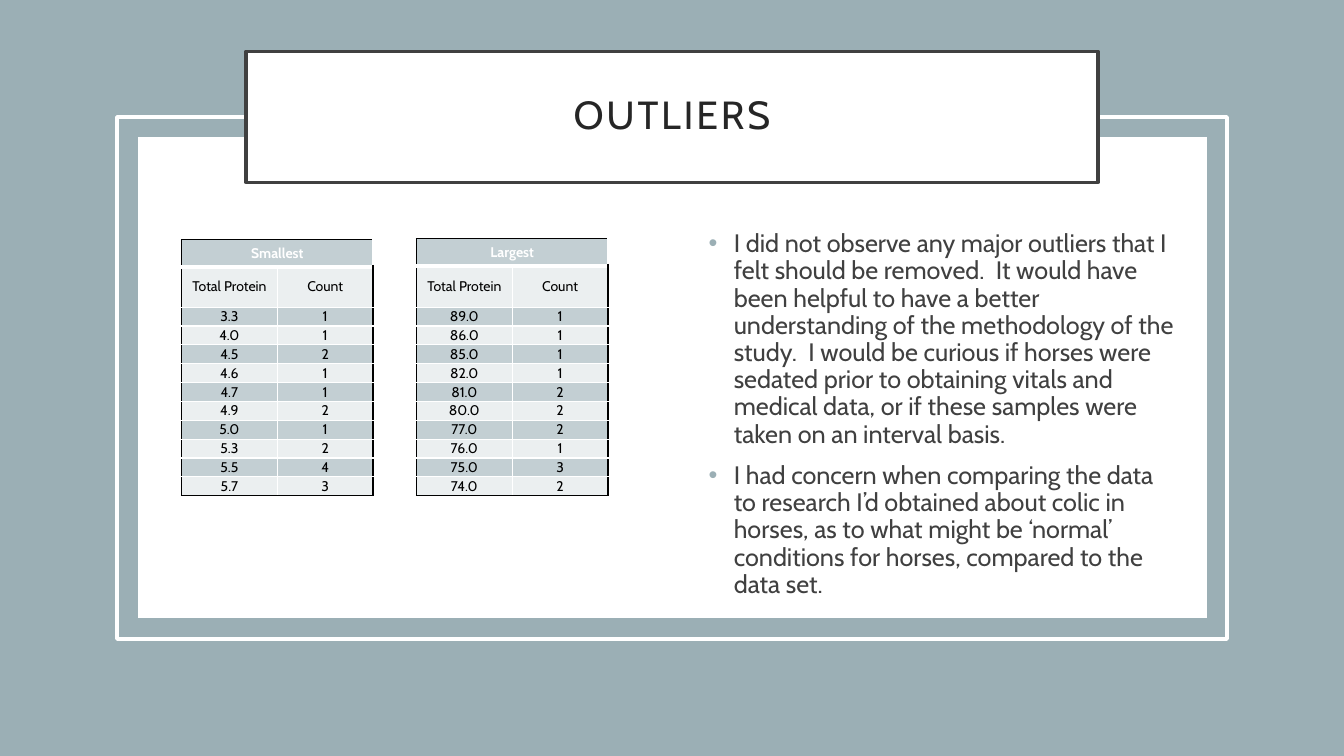
from dataclasses import dataclass

from lxml import etree
from pptx import Presentation
from pptx.dml.color import RGBColor
from pptx.enum.shapes import MSO_SHAPE
from pptx.enum.text import MSO_ANCHOR, PP_ALIGN
from pptx.oxml.ns import qn
from pptx.util import Inches, Pt

RECT = MSO_SHAPE.RECTANGLE
MIDDLE = MSO_ANCHOR.MIDDLE
CENTER = PP_ALIGN.CENTER
FONT = "Cabin"
COLORS = {
    "back": "9BAFB5", "white": "FFFFFF", "black": "000000", "edge": "404040",
    "title": "262626", "dark": "C3CFD3", "light": "EBEFF0",
}


@dataclass
class Panel:
    """A plain rectangle of the frame."""
    box: tuple[float, float, float, float]
    fill: str | None = None
    line: str | None = None


@dataclass
class Counts:
    """A table of protein values and how often each occurs."""
    name: str
    left: float
    top: float
    head: float
    data: list[tuple[str, str]]


WIDTH, HEIGHT = 13.33, 7.5
PANELS = [
    Panel((0, 0, WIDTH, HEIGHT), "back"),
    Panel((1.37, 1.36, 10.6, 4.77), "white"),
    Panel((1.16, 1.16, 11.01, 5.18), line="white"),
]
TITLE = Panel((2.44, 0.51, 8.45, 1.3), "white", "edge")
TABLES = [
    Counts("Smallest", 1.8, 2.38, 0.26, [
        ("3.3", "1"), ("4.0", "1"), ("4.5", "2"), ("4.6", "1"), ("4.7", "1"),
        ("4.9", "2"), ("5.0", "1"), ("5.3", "2"), ("5.5", "4"), ("5.7", "3")]),
    Counts("Largest", 4.13, 2.37, 0.25, [
        ("89.0", "1"), ("86.0", "1"), ("85.0", "1"), ("82.0", "1"), ("81.0", "2"),
        ("80.0", "2"), ("77.0", "2"), ("76.0", "1"), ("75.0", "3"), ("74.0", "2")]),
]
TABLE_W, TABLE_H, LABEL_END = 1.9, 2.5, 0.66
NOTES = [
    "I did not observe any major outliers that I felt should be removed.  It would "
    "have been helpful to have a better understanding of the methodology of the "
    "study.  I would be curious if horses were sedated prior to obtaining vitals and "
    "medical data, or if these samples were taken on an interval basis.",
    "I had concern when comparing the data to research I’d obtained about colic in "
    "horses, as to what might be ‘normal’ conditions for horses, compared to the "
    "data set.",
]


def rgb(name: str) -> RGBColor:
    """Look up a named colour."""
    return RGBColor.from_string(COLORS[name])


def style(para, size: float, color: str, bold: bool = False) -> None:
    """Set the font of a paragraph."""
    font = para.font
    font.name, font.size, font.bold = FONT, Pt(size), bold
    font.color.rgb = rgb(color)


def add_panel(slide, panel: Panel):
    """Draw a rectangle with optional fill and line."""
    shape = slide.shapes.add_shape(RECT, *map(Inches, panel.box))
    shape.shadow.inherit = False
    if panel.fill:
        shape.fill.solid()
        shape.fill.fore_color.rgb = rgb(panel.fill)
    else:
        shape.fill.background()
    if panel.line:
        shape.line.color.rgb = rgb(panel.line)
        shape.line.width = Pt(2.5)
    else:
        shape.line.fill.background()
    return shape


def add_title(slide, text: str) -> None:
    """Draw the title box with its spaced capitals."""
    frame = add_panel(slide, TITLE).text_frame
    frame.word_wrap = True
    frame.vertical_anchor = MIDDLE
    frame.margin_left = frame.margin_right = Inches(0.2)
    frame.margin_top = frame.margin_bottom = Inches(0.2)
    para = frame.paragraphs[0]
    para.alignment, para.line_spacing = CENTER, 0.9
    style(para, 28, "title")
    run = para.add_run()
    run.text = text
    run._r.get_or_add_rPr().set("spc", "200")


def add_notes(slide, notes: list[str]) -> None:
    """Write the bulleted remarks."""
    box = slide.shapes.add_textbox(*map(Inches, (6.93, 2.24, 4.86, 3.52)))
    frame = box.text_frame
    frame.word_wrap = True
    for i, note in enumerate(notes):
        para = frame.add_paragraph() if i else frame.paragraphs[0]
        para.text = note
        para.line_spacing, para.space_before = 0.9, Pt(10)
        props = para._p.get_or_add_pPr()
        props.set("marL", str(Inches(0.25)))
        props.set("indent", str(-Inches(0.25)))
        tint = etree.SubElement(props, qn("a:buClr"))
        etree.SubElement(tint, qn("a:srgbClr"), val=COLORS["back"])
        etree.SubElement(props, qn("a:buFont"), typeface="Arial")
        etree.SubElement(props, qn("a:buChar"), char="•")
        style(para, 18, "edge")


def add_edge(cell, side: str, color: str, width: float) -> None:
    """Draw one border of a cell."""
    props = cell._tc.get_or_add_tcPr()
    line = etree.SubElement(props, qn(f"a:ln{side}"), w=str(Pt(width)))
    fill = etree.SubElement(line, qn("a:solidFill"))
    etree.SubElement(fill, qn("a:srgbClr"), val=COLORS[color])


def add_counts(slide, counts: Counts) -> None:
    """Draw a table with a dark outline and white inner rules."""
    rows = [(counts.name, ""), ("Total Protein", "Count"), *counts.data]
    last = len(rows) - 1
    place = (counts.left, counts.top, TABLE_W, TABLE_H)
    table = slide.shapes.add_table(len(rows), 2, *map(Inches, place)).table
    table.first_row = table.horz_banding = False
    step = (TABLE_H - LABEL_END) / len(counts.data)
    tall = [counts.head, LABEL_END - counts.head] + [step] * len(counts.data)
    for r, row in enumerate(rows):
        table.rows[r].height = Inches(tall[r])
        pad = (0.1, 0.08)[r] if r < 2 else 0.02
        for c, text in enumerate(row):
            cell = table.cell(r, c)
            cell.text = text
            cell.vertical_anchor = MIDDLE
            cell.margin_left = cell.margin_right = Inches(pad)
            cell.margin_top = cell.margin_bottom = Inches(pad / 2)
            para = cell.text_frame.paragraphs[0]
            para.alignment = CENTER
            style(para, 10, "black" if r else "white", r == 0)
            outer = {"L": c == 0, "R": c == 1, "T": r == 0, "B": r == last}
            for side, dark in outer.items():
                thick = (r, side) in ((0, "B"), (1, "T"))
                add_edge(cell, side, "black" if dark else "white", 3 if thick else 1)
            cell.fill.solid()
            cell.fill.fore_color.rgb = rgb("light" if r % 2 else "dark")
    table.cell(0, 0).merge(table.cell(0, 1))


def main() -> None:
    """Build and save the slide."""
    deck = Presentation()
    deck.slide_width, deck.slide_height = Inches(WIDTH), Inches(HEIGHT)
    slide = deck.slides.add_slide(deck.slide_layouts[6])
    for panel in PANELS:
        add_panel(slide, panel)
    add_title(slide, "OUTLIERS")
    add_notes(slide, NOTES)
    for counts in TABLES:
        add_counts(slide, counts)
    deck.save("out.pptx")


main()
